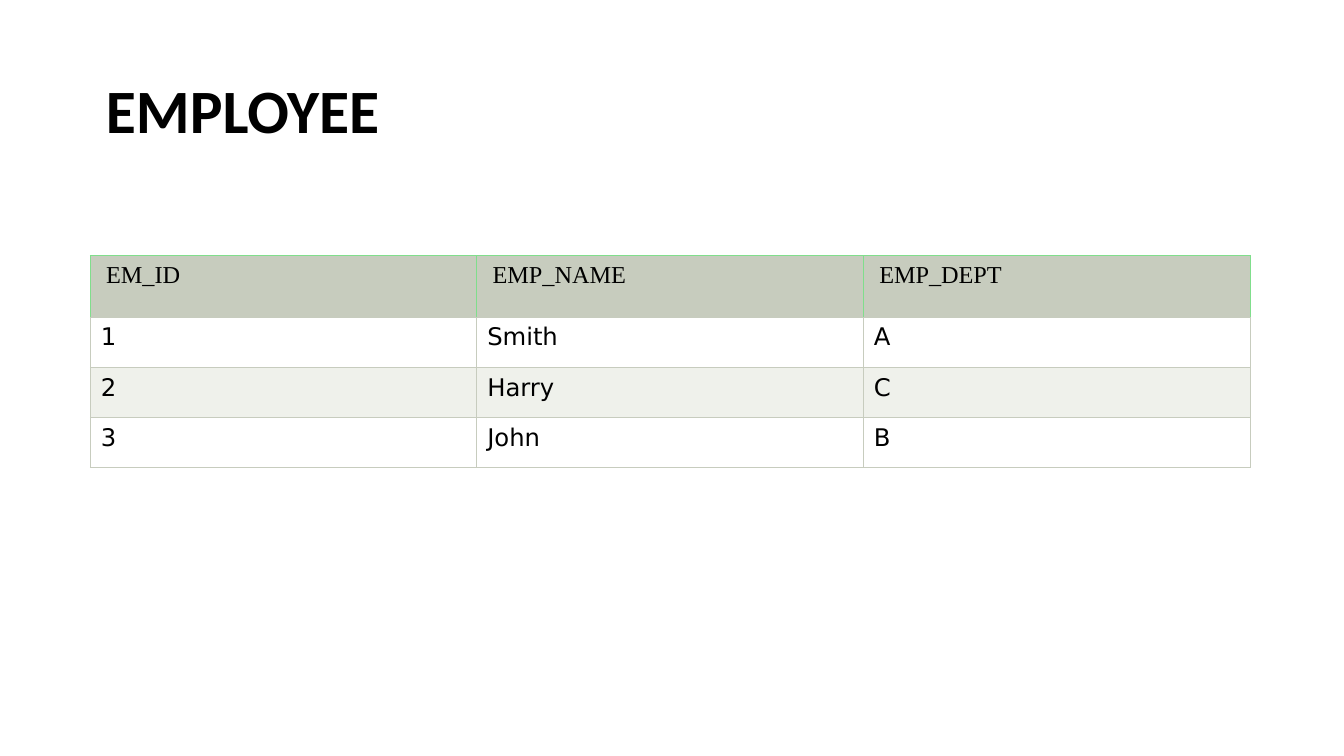
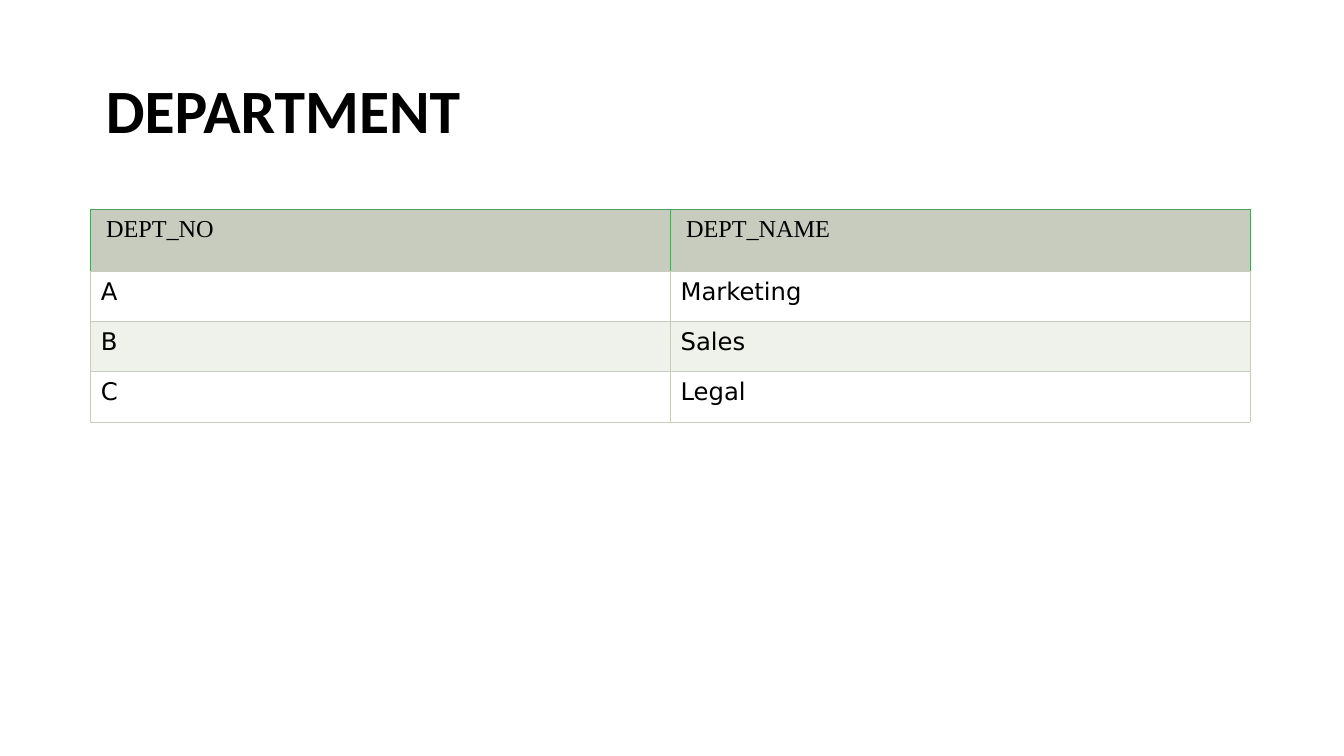
from lxml.etree import SubElement
from pptx import Presentation
from pptx.dml.color import RGBColor
from pptx.enum.text import MSO_ANCHOR
from pptx.oxml.ns import qn
from pptx.util import Inches, Pt

SLIDE_WIDTH = Inches(10)
SLIDE_HEIGHT = SLIDE_WIDTH * 9 // 16
COLOURS = {
    "text": "000000",
    "header": "C7CCBE",
    "plain": "FFFFFF",
    "band": "EFF1EB",
    "grid": "C7CCBE",
    "light green": "80DE8C",
    "dark green": "50A060",
}
TITLE_BOX = (Inches(0.69), Inches(0.3), Inches(8.63), Inches(1.09))
TABLE_LEFT, TABLE_WIDTH, TABLE_HEIGHT = Inches(0.67), Inches(8.63), Inches(1.58)
HEADER_SHARE = 0.29
BORDER_WIDTH = Pt(0.34)

RELATIONS = [
    {
        "title": "EMPLOYEE",
        "top": Inches(1.9),
        "header_border": "light green",
        "rows": [
            ("EM_ID", "EMP_NAME", "EMP_DEPT"),
            ("1", "Smith", "A"),
            ("2", "Harry", "C"),
            ("3", "John", "B"),
        ],
    },
    {
        "title": "DEPARTMENT",
        "top": Inches(1.56),
        "header_border": "dark green",
        "rows": [
            ("DEPT_NO", "DEPT_NAME"),
            ("A", "Marketing"),
            ("B", "Sales"),
            ("C", "Legal"),
        ],
    },
]


def style_font(font, family, size, bold=False):
    """Set a font in the shared text colour."""
    font.name, font.size, font.bold = family, Pt(size), bold
    font.color.rgb = RGBColor.from_string(COLOURS["text"])


def add_title(slide, box, wording):
    """Place the bold slide title, centred vertically in its box."""
    frame = slide.shapes.add_textbox(*box).text_frame
    frame.word_wrap = True
    frame.vertical_anchor = MSO_ANCHOR.MIDDLE
    heading = frame.paragraphs[0]
    heading.text = wording
    heading.line_spacing = 0.9
    style_font(heading.font, "Calibri", 33, bold=True)


def set_borders(cell, side_colour, bottom_colour):
    """Draw the four thin edges of a cell."""
    properties = cell._tc.get_or_add_tcPr()
    for edge in ("lnL", "lnR", "lnT", "lnB"):
        line = SubElement(properties, qn(f"a:{edge}"), w=str(int(BORDER_WIDTH)))
        fill = SubElement(line, qn("a:solidFill"))
        colour = bottom_colour if edge == "lnB" else side_colour
        SubElement(fill, qn("a:srgbClr"), val=COLOURS[colour])


def fill_cell(cell, wording, is_header, background, side_colour):
    """Write one cell with its borders, fill, margins and font."""
    set_borders(cell, side_colour, "grid")
    cell.fill.solid()
    cell.fill.fore_color.rgb = RGBColor.from_string(COLOURS[background])
    cell.margin_left = cell.margin_right = Inches(0.12 if is_header else 0.08)
    cell.margin_top = cell.margin_bottom = Inches(0.05)
    entry = cell.text_frame.paragraphs[0]
    entry.text = wording
    style_font(entry.font, "Times New Roman" if is_header else "DejaVu Sans", 13)


def add_relation_table(slide, box, records, header_border):
    """Lay out a header row and equal banded rows within the box."""
    width, height = box[2:]
    table = slide.shapes.add_table(len(records), len(records[0]), *box).table
    header_height = int(height * HEADER_SHARE)
    record_height = (height - header_height) // (len(records) - 1)
    for column in table.columns:
        column.width = width // len(records[0])
    for row_index, record in enumerate(records):
        is_header = row_index == 0
        table.rows[row_index].height = header_height if is_header else record_height
        background = "header" if is_header else ("band", "plain")[row_index % 2]
        side_colour = header_border if is_header else "grid"
        for column_index, wording in enumerate(record):
            cell = table.cell(row_index, column_index)
            fill_cell(cell, wording, is_header, background, side_colour)


def add_relation_slide(deck, relation):
    """Build one slide that shows a titled database table."""
    slide = deck.slides.add_slide(deck.slide_layouts[6])
    add_title(slide, TITLE_BOX, relation["title"])
    table_box = (TABLE_LEFT, relation["top"], TABLE_WIDTH, TABLE_HEIGHT)
    add_relation_table(slide, table_box, relation["rows"], relation["header_border"])


def main():
    """Build and save the deck."""
    deck = Presentation()
    deck.slide_width, deck.slide_height = SLIDE_WIDTH, SLIDE_HEIGHT
    deck.element.find(qn("p:sldSz")).attrib.pop("type", None)
    for relation in RELATIONS:
        add_relation_slide(deck, relation)
    deck.save("out.pptx")


if __name__ == "__main__":
    main()
